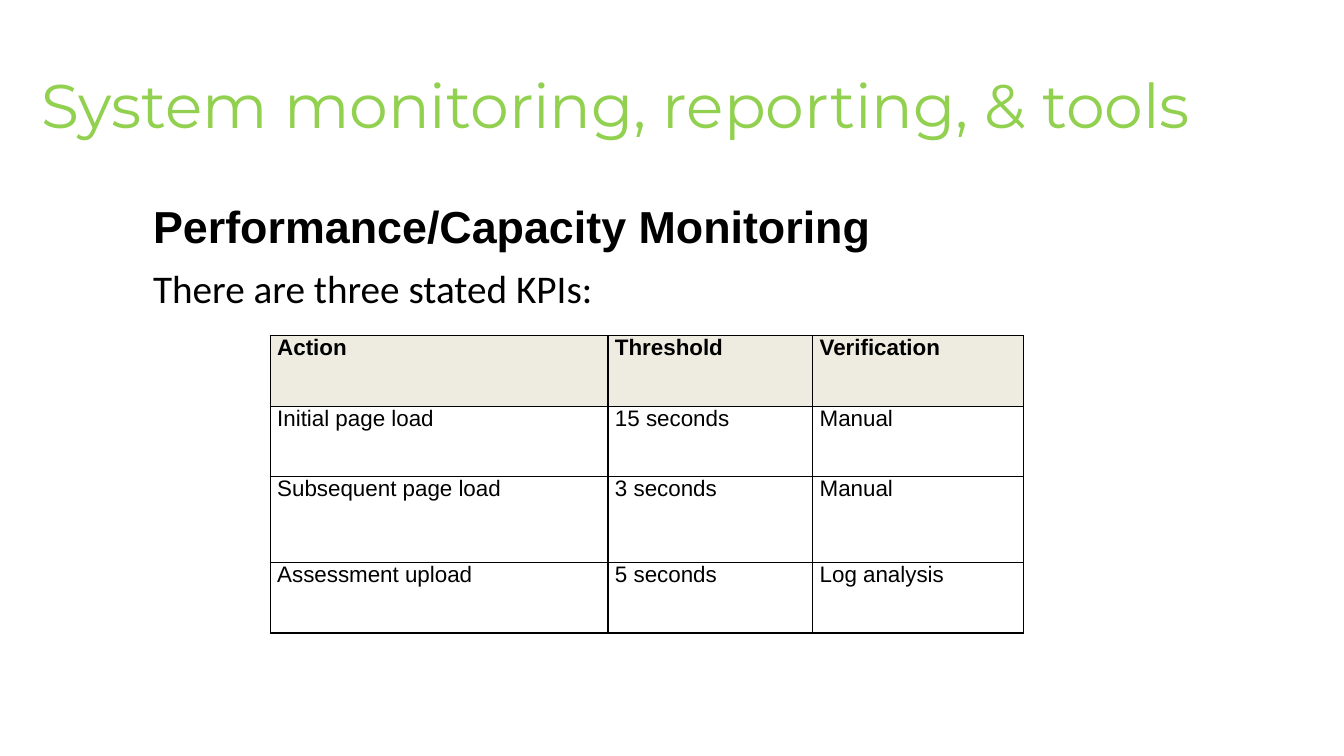
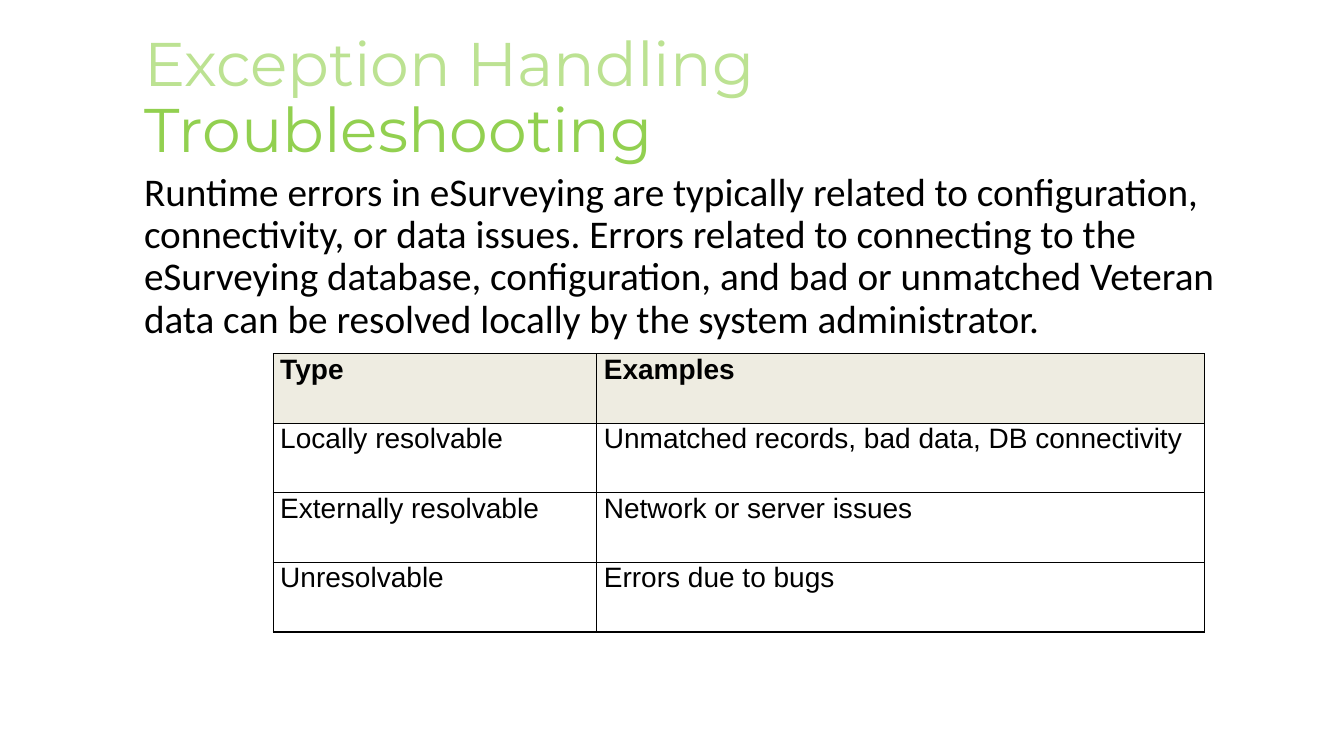
import lxml.etree
import pptx
import pptx.dml.color
import pptx.enum.text
import pptx.oxml.ns
import pptx.util

Inches = pptx.util.Inches
Pt = pptx.util.Pt

GREEN, PALE_GREEN = "92D050", "BCE292"
BLACK, HEADER_FILL = "000000", "EEECE1"

TITLE = {"name": "Montserrat", "size": Pt(44)}
HEADING = {"name": "Arial", "size": Pt(32), "bold": True}
BODY = {"name": "Calibri", "size": Pt(28)}


def rgb(value):
    return pptx.dml.color.RGBColor.from_string(value)


def set_values(target, values):
    for name, value in values.items():
        setattr(target, name, value)


def add_run(paragraph, text, font, color=BLACK):
    run = paragraph.add_run()
    run.text = text
    set_values(run.font, font)
    run.font.color.rgb = rgb(color)


def add_text_frame(slide, left, top, width, height):
    shape = slide.shapes.add_textbox(*map(Inches, (left, top, width, height)))
    shape.text_frame.word_wrap = True
    return shape.text_frame


# Title: one (text, colour) pair per line, centred vertically
def add_title(slide, box, lines):
    frame = add_text_frame(slide, *box)
    frame.vertical_anchor = pptx.enum.text.MSO_ANCHOR.MIDDLE
    paragraph = frame.paragraphs[0]
    paragraph.line_spacing = 0.9
    for index, (text, color) in enumerate(lines):
        if index:
            paragraph.add_line_break()
        add_run(paragraph, text, TITLE, color)


# Body: one (text, font) pair per paragraph
def add_body(slide, box, paragraphs):
    frame = add_text_frame(slide, *box)
    for index, (text, font) in enumerate(paragraphs):
        paragraph = frame.add_paragraph() if index else frame.paragraphs[0]
        spacing = {"line_spacing": 0.9, "space_before": Pt(12 if index else 0)}
        set_values(paragraph, spacing)
        add_run(paragraph, text, font)


# Borders come before the fill in the cell properties
def add_borders(cell):
    properties = cell._tc.get_or_add_tcPr()
    qn = pptx.oxml.ns.qn
    for index, side in enumerate(("lnL", "lnR", "lnT", "lnB")):
        line = lxml.etree.Element(qn(f"a:{side}"), w=str(Pt(1)))
        fill = lxml.etree.SubElement(line, qn("a:solidFill"))
        lxml.etree.SubElement(fill, qn("a:srgbClr"), val=BLACK)
        properties.insert(index, line)


def fill_cell(cell, text, size, is_header):
    margins = {"margin_left": Inches(0.07), "margin_right": Inches(0.07),
               "margin_top": 0, "margin_bottom": 0}
    set_values(cell, margins)
    if is_header:
        cell.fill.solid()
        cell.fill.fore_color.rgb = rgb(HEADER_FILL)
    else:
        cell.fill.background()
    add_borders(cell)
    paragraph = cell.text_frame.paragraphs[0]
    set_values(paragraph, {"space_before": Pt(6), "space_after": Pt(6)})
    add_run(paragraph, text, {"name": "Arial", "size": Pt(size), "bold": is_header})


def add_grid(slide, left, top, widths, heights, size, rows):
    frame = slide.shapes.add_table(
        len(heights), len(widths), Inches(left), Inches(top),
        Inches(sum(widths)), Inches(sum(heights)))
    table = frame.table
    set_values(table, {"first_row": False, "horz_banding": False})
    for column, width in zip(table.columns, widths):
        column.width = Inches(width)
    for row, height in zip(table.rows, heights):
        row.height = Inches(height)
    for row_index, texts in enumerate(rows):
        for column_index, text in enumerate(texts):
            cell = table.cell(row_index, column_index)
            fill_cell(cell, text, size, row_index == 0)


def build_monitoring(slide):
    add_title(slide, (0.31, 0.09, 11.72, 1.98),
              [("System monitoring, reporting, & tools", GREEN)])
    add_body(slide, (1.42, 1.98, 11.38, 1.2), [
        ("Performance/Capacity Monitoring", HEADING),
        ("There are three stated KPIs:", BODY),
    ])
    add_grid(slide, 2.68, 3.33, (3.35, 2.03, 2.09), (0.7, 0.7, 0.85, 0.7), 16, [
        ("Action", "Threshold", "Verification"),
        ("Initial page load", "15 seconds", "Manual"),
        ("Subsequent page load", "3 seconds", "Manual"),
        ("Assessment upload", "5 seconds", "Log analysis"),
    ])


def build_troubleshooting(slide):
    add_title(slide, (1.33, 0.32, 11.09, 1.34),
              [("Exception Handling", PALE_GREEN), ("Troubleshooting", GREEN)])
    add_body(slide, (1.33, 1.66, 10.85, 1.8), [
        ("Runtime errors in eSurveying are typically related to configuration, "
         "connectivity, or data issues. Errors related to connecting to the "
         "eSurveying database, configuration, and bad or unmatched Veteran "
         "data can be resolved locally by the system administrator.", BODY),
    ])
    add_grid(slide, 2.71, 3.51, (3.21, 6.03), (0.69,) * 4, 20, [
        ("Type", "Examples"),
        ("Locally resolvable", "Unmatched records, bad data, DB connectivity"),
        ("Externally resolvable", "Network or server issues"),
        ("Unresolvable", "Errors due to bugs"),
    ])


def main():
    presentation = pptx.Presentation()
    presentation.slide_width = Inches(13.33)
    presentation.slide_height = Inches(7.5)
    blank_layout = presentation.slide_layouts[6]
    for build in (build_monitoring, build_troubleshooting):
        build(presentation.slides.add_slide(blank_layout))
    presentation.save("out.pptx")


if __name__ == "__main__":
    main()
